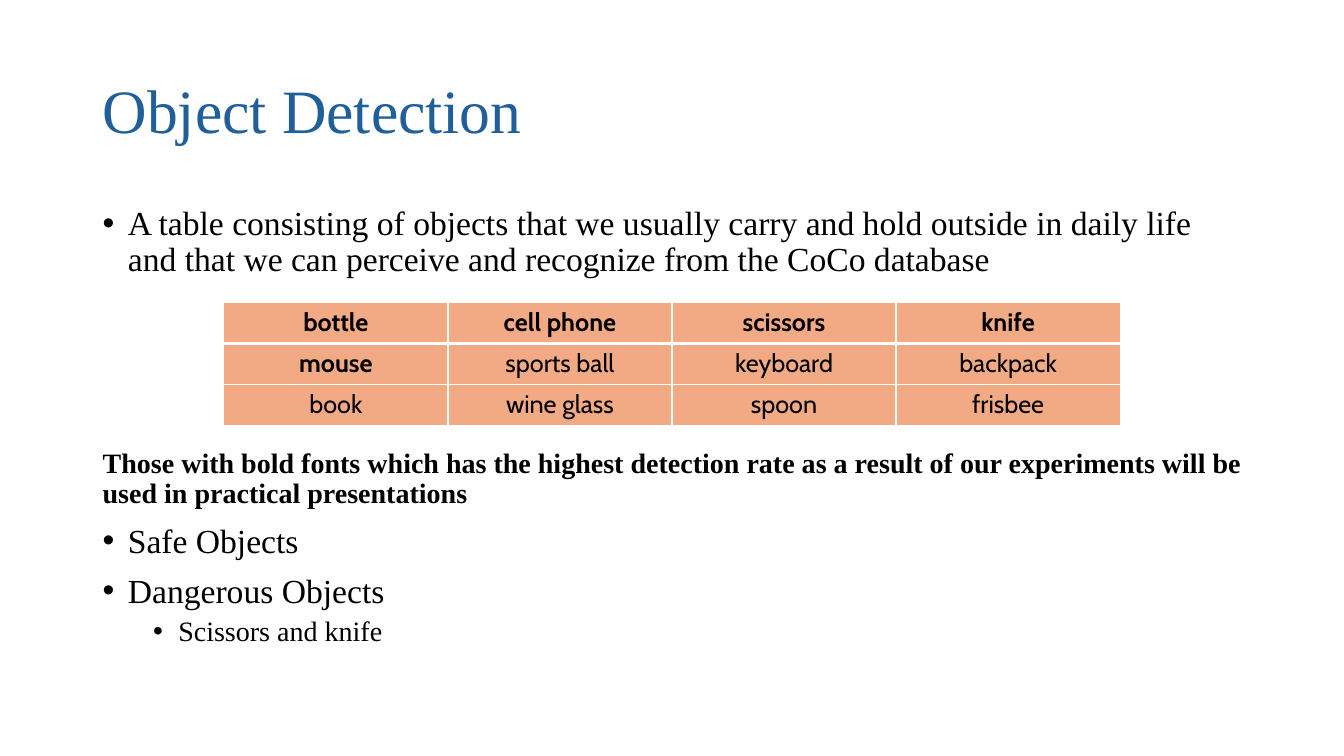
import pptx
import pptx.util
import pptx.dml.color
import pptx.enum.text
import pptx.oxml
import pptx.oxml.ns
from pptx.util import Inches

SERIF = "Times New Roman"
MIDDLE = pptx.enum.text.MSO_ANCHOR.MIDDLE
CENTER = pptx.enum.text.PP_ALIGN.CENTER
NS = pptx.oxml.ns.nsdecls("a")


def color(hex_string):
    return pptx.dml.color.RGBColor.from_string(hex_string)


def write(p, text, size=24, font=SERIF, fill="000000", bold=False, align=None,
          spacing=0.9, before=0, bullet=False, level=0):
    """Fill one paragraph with a formatted run and an optional bullet."""
    p.alignment = align
    p.line_spacing = spacing
    p.space_before = pptx.util.Pt(before)
    p.level = level
    if bullet:
        pPr = p._p.get_or_add_pPr()
        pPr.set("marL", str(Inches(0.25 + 0.5 * level)))
        pPr.set("indent", str(Inches(-0.25)))
        pPr.append(pptx.oxml.parse_xml(f'<a:buFont {NS} typeface="Arial"/>'))
        pPr.append(pptx.oxml.parse_xml(f'<a:buChar {NS} char="•"/>'))
    r = p.add_run()
    r.text = text
    r.font.name = font
    r.font.size = pptx.util.Pt(size)
    r.font.bold = bold
    r.font.color.rgb = color(fill)


prs = pptx.Presentation()
prs.slide_width, prs.slide_height = Inches(13.33), Inches(7.5)
s = prs.slides.add_slide(prs.slide_layouts[6])

# Title and the text above and below the table
text_boxes = [
    (0.4, 1.45, [("Object Detection", dict(size=44, fill="215F9A"))]),
    (2, 0.9, [
        ("A table consisting of objects that we usually carry and hold outside in daily life "
         "and that we can perceive and recognize from the CoCo database", dict(bullet=True)),
    ]),
    (4.41, 2.35, [
        ("Those with bold fonts which has the highest detection rate as a result of our "
         "experiments will be used in practical presentations", dict(size=20, bold=True)),
        ("Safe Objects", dict(before=10, bullet=True)),
        ("Dangerous Objects", dict(before=10, bullet=True)),
        ("Scissors and knife", dict(size=20, before=5, bullet=True, level=1)),
    ]),
]
for top, height, paragraphs in text_boxes:
    sp = s.shapes.add_textbox(Inches(0.92), Inches(top), Inches(11.5), Inches(height))
    tf = sp.text_frame
    tf.word_wrap = True
    if top == 0.4:
        tf.vertical_anchor = MIDDLE
    for i, (text, style) in enumerate(paragraphs):
        p = tf.add_paragraph() if i else tf.paragraphs[0]
        write(p, text, **style)

# Table of detectable objects
objects = [
    ["bottle", "cell phone", "scissors", "knife"],
    ["mouse", "sports ball", "keyboard", "backpack"],
    ["book", "wine glass", "spoon", "frisbee"],
]
best_detected = objects[0] + ["mouse"]
table = s.shapes.add_table(3, 4, Inches(2.22), Inches(3), Inches(8.89), Inches(1.22)).table
for row, names in enumerate(objects):
    for col, name in enumerate(names):
        cell = table.cell(row, col)
        write(cell.text_frame.paragraphs[0], name, size=18, font="Cabin",
              bold=name in best_detected, align=CENTER, spacing=1.0)
        tcPr = cell._tc.get_or_add_tcPr()
        for side in ("lnL", "lnR", "lnT", "lnB"):
            header_edge = (row, side) in ((0, "lnB"), (1, "lnT"))
            width = pptx.util.Pt(3 if header_edge else 1)
            tcPr.append(pptx.oxml.parse_xml(
                f'<a:{side} {NS} w="{width}"><a:solidFill><a:srgbClr val="FFFFFF"/>'
                f'</a:solidFill></a:{side}>'))
        cell.fill.solid()
        cell.fill.fore_color.rgb = color("F2AA84")

prs.save("out.pptx")
